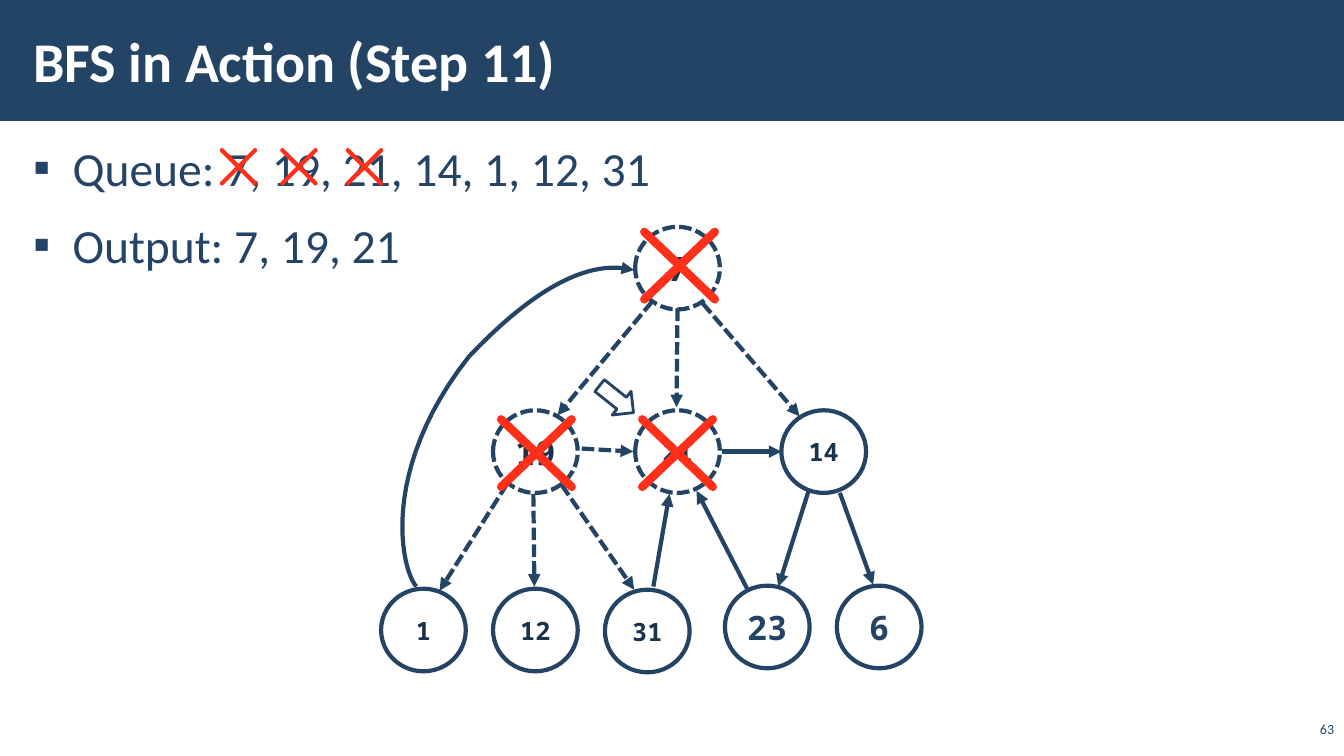
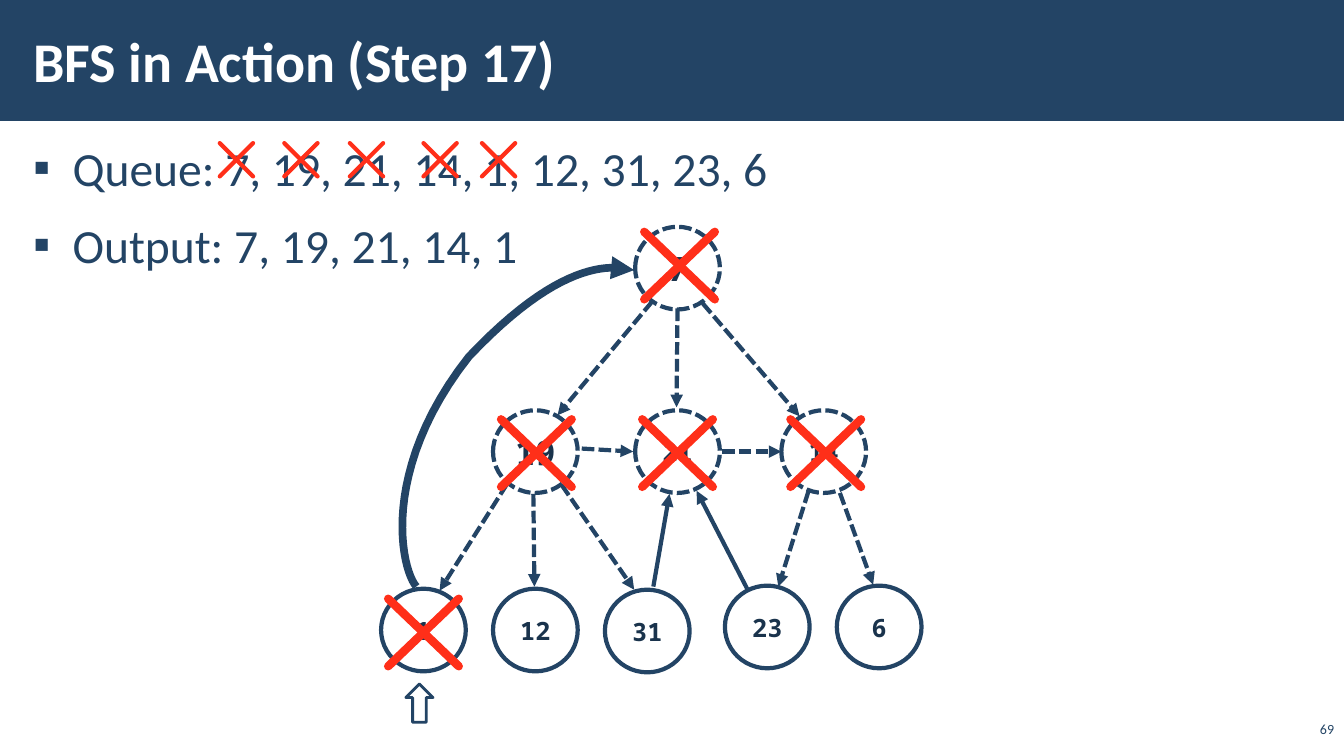
import dataclasses

import pptx
import pptx.dml.color
import pptx.enum.dml
import pptx.enum.shapes
import pptx.enum.text
import pptx.oxml
import pptx.oxml.ns
import pptx.util

PX = 9144  # one px is a hundredth of an inch
SHAPES = pptx.enum.shapes.MSO_SHAPE
ALIGN = pptx.enum.text.PP_ALIGN
ANCHOR = pptx.enum.text.MSO_ANCHOR
SYSTEM_DASH = pptx.enum.dml.MSO_LINE.SQUARE_DOT


@dataclasses.dataclass(frozen=True)
class Theme:
    navy: str = "234465"
    label: str = "1A334C"
    plain_label: str = "244465"
    red: str = "FF2F19"
    white: str = "FFFFFF"
    text_font: str = "Calibri"
    node_font: str = "Noto Sans Mono"
    title_size: int = 40
    body_size: int = 34
    large_label: int = 24
    small_label: int = 18
    number_size: int = 10


THEME = Theme()


@dataclasses.dataclass(frozen=True)
class Step:
    number: int
    page: int
    queue: list
    output: list
    queue_crosses: list
    queue_cross_top: int
    dashed_nodes: set
    explored: set  # nodes whose outgoing edges are dashed
    large: set
    plain: set
    back_edge_width: float
    pointer_box: tuple
    pointer_angle: float


STEPS = [
    Step(11, 63, [7, 19, 21, 14, 1, 12, 31], [7, 19, 21],
         [220, 280, 345], 149, {7, 19, 21}, {7, 19}, {7, 19, 23, 6}, {23, 6},
         3, (590, 381, 43, 30), 38.5),
    Step(17, 69, [7, 19, 21, 14, 1, 12, 31, 23, 6], [7, 19, 21, 14, 1],
         [218, 282, 347, 420, 478], 142, {7, 19, 21, 14}, {7, 19, 21, 14}, {7, 19}, set(),
         5.5, (397, 684, 38, 27), 270),
]

# Graph geometry, relative to the graph box
GRAPH_BOX = (378, 225, 536, 442)
NODE_SIZE = (84, 82)
NODES = {
    7: (252, 0),
    19: (111, 182), 21: (252, 182), 14: (397, 182),
    1: (0, 359), 12: (111, 359), 31: (222, 360), 23: (341, 356), 6: (452, 356),
}
EDGES = {
    (7, 19): (269, 74, 175, 187),
    (7, 21): (294, 81, 293, 179),
    (7, 14): (319, 76, 415, 188),
    (19, 21): (199, 220, 250, 223),
    (21, 14): (338, 223, 397, 223),
    (19, 1): (125, 255, 58, 361),
    (19, 12): (151, 265, 152, 357),
    (19, 31): (179, 256, 251, 360),
    (31, 21): (270, 357, 286, 265),
    (23, 21): (363, 359, 313, 262),
    (14, 23): (424, 262, 394, 357),
    (14, 6): (455, 264, 488, 355),
}
BACK_EDGE = [
    ((35, 357), (20, 340), (-2, 242), (87, 129)),
    ((87, 129), (176, 35), (226, 37), (251, 43)),
]
CROSS_SIZE = (70, 67)
CROSS_OFFSETS = {7: (9, 5), 19: (8, 9), 21: (7, 9), 14: (9, 9), 1: (7, 10)}
QUEUE_CROSS_SIZE = 33


# Formatting helpers
def color(value):
    return pptx.dml.color.RGBColor.from_string(value)


def apply_format(target, values):
    for name, value in values.items():
        setattr(target, name, value)


def place(shape, box):
    apply_format(shape, dict(zip(("left", "top", "width", "height"), (v * PX for v in box))))


def add_xml(parent, tag, **attributes):
    element = pptx.oxml.parse_xml(f"<a:{tag} {pptx.oxml.ns.nsdecls('a')}/>")
    for name, value in attributes.items():
        element.set(name, str(value))
    parent.append(element)


def format_font(font, size, value, name=THEME.text_font, bold=False):
    apply_format(font, {"size": pptx.util.Pt(size), "name": name, "bold": bold})
    font.color.rgb = color(value)


def format_line(line, width, value=THEME.navy, dashed=False, arrow=False):
    line.color.rgb = color(value)
    line.width = pptx.util.Pt(width)
    if dashed:
        line.dash_style = SYSTEM_DASH
    if arrow:
        add_xml(line._get_or_add_ln(), "tailEnd", type="triangle")


def format_fill(shape, opacity):
    shape.shadow.inherit = False
    shape.fill.solid()
    shape.fill.fore_color.rgb = color(THEME.white)
    fill_color = shape._element.spPr.find(".//" + pptx.oxml.ns.qn("a:srgbClr"))
    add_xml(fill_color, "alpha", val=opacity * 1000)


def format_frame(frame, anchor):
    apply_format(frame, {
        "word_wrap": True, "vertical_anchor": anchor,
        "auto_size": pptx.enum.text.MSO_AUTO_SIZE.NONE,
        "margin_left": 12 * PX, "margin_right": 12 * PX,
        "margin_top": 4 * PX, "margin_bottom": 4 * PX,
    })


# Drawing parts
def add_line(shapes, ends, width, value=THEME.navy, dashed=False, arrow=False):
    connector = shapes.add_connector(
        pptx.enum.shapes.MSO_CONNECTOR.STRAIGHT, *(v * PX for v in ends))
    format_line(connector.line, width, value, dashed, arrow)
    add_xml(connector._element.spPr, "effectLst")
    return connector


def add_cross(shapes, box, width):
    left, top, box_width, box_height = box
    right, bottom = left + box_width, top + box_height
    for ends in ((left, top, right, bottom), (right, top, left, bottom)):
        connector = add_line(shapes, ends, width, THEME.red)
        connector.line._get_or_add_ln().set("cap", "rnd")


def curve_points(curves, steps=24):
    for start, first, second, end in curves:
        for index in range(steps + 1):
            t = index / steps
            u = 1 - t
            yield tuple(u**3 * a + 3 * u * u * t * b + 3 * u * t * t * c + t**3 * d
                        for a, b, c, d in zip(start, first, second, end))


def add_back_edge(shapes, left, top, width):
    points = [(round((left + x) * PX), round((top + y) * PX))
              for x, y in curve_points(BACK_EDGE)]
    builder = shapes.build_freeform(*points[0])
    builder.add_line_segments(points[1:], close=False)
    curve = builder.convert_to_shape()
    curve.shadow.inherit = False
    curve.fill.background()
    format_line(curve.line, width, arrow=True)


def add_node(shapes, number, box, step):
    plain = number in step.plain
    node = shapes.add_shape(SHAPES.OVAL, *(v * PX for v in box))
    format_fill(node, 50 if plain else 70)
    format_line(node.line, 3, dashed=number in step.dashed_nodes)
    apply_format(node.text_frame, {"word_wrap": False, "vertical_anchor": ANCHOR.MIDDLE})
    paragraph = node.text_frame.paragraphs[0]
    paragraph.alignment = ALIGN.CENTER
    run = paragraph.add_run()
    run.text = str(number)
    size = THEME.large_label if number in step.large else THEME.small_label
    format_font(run.font, size, THEME.plain_label if plain else THEME.label,
                THEME.node_font, True)


# Regions of the slide
def add_band(slide, layout, box):
    band = slide.shapes.add_shape(SHAPES.RECTANGLE, *(v * PX for v in box))
    band.shadow.inherit = False
    band.fill.solid()
    band.fill.fore_color.rgb = color(THEME.navy)
    band.line.fill.background()
    band._element.nvSpPr.cNvPr.set("id", "20")
    layout.shapes._spTree.insert(2, band._element)


def fill_title(title, box, text):
    place(title, box)
    format_frame(title.text_frame, ANCHOR.MIDDLE)
    paragraph = title.text_frame.paragraphs[0]
    paragraph.alignment = ALIGN.LEFT
    run = paragraph.add_run()
    run.text = text
    format_font(run.font, THEME.title_size, THEME.white, bold=True)


def fill_body(body, box, lines):
    place(body, box)
    frame = body.text_frame
    frame.text = "\n".join(lines)
    format_frame(frame, ANCHOR.TOP)
    for paragraph in frame.paragraphs:
        apply_format(paragraph, {
            "line_spacing": 1.05, "alignment": ALIGN.LEFT,
            "space_before": pptx.util.Pt(6), "space_after": pptx.util.Pt(6),
        })
        properties = paragraph._p.get_or_add_pPr()
        properties.set("marL", str(39 * PX))
        properties.set("indent", str(-39 * PX))
        add_xml(properties, "buFont", typeface=THEME.text_font)
        add_xml(properties, "buChar", char="▪")
        format_font(paragraph.runs[0].font, THEME.body_size, THEME.navy)


def add_page_number(slide, box, number):
    text_box = slide.shapes.add_textbox(*(v * PX for v in box))
    apply_format(text_box.text_frame, {"word_wrap": True, "vertical_anchor": ANCHOR.BOTTOM})
    paragraph = text_box.text_frame.paragraphs[0]
    paragraph.alignment = ALIGN.RIGHT
    run = paragraph.add_run()
    run.text = str(number)
    format_font(run.font, THEME.number_size, THEME.navy)


def add_graph(slide, box, step):
    left, top = box[:2]
    shapes = slide.shapes.add_group_shape().shapes
    for number, (x, y) in NODES.items():
        add_node(shapes, number, (left + x, top + y, *NODE_SIZE), step)
    for (source, _), (x1, y1, x2, y2) in EDGES.items():
        add_line(shapes, (left + x1, top + y1, left + x2, top + y2), 3,
                 dashed=source in step.explored, arrow=True)
    add_back_edge(shapes, left, top, step.back_edge_width)
    for number in step.output:
        x, y = (a + b for a, b in zip(NODES[number], CROSS_OFFSETS[number]))
        add_cross(shapes, (left + x, top + y, *CROSS_SIZE), 6)


def add_pointer(slide, box, angle):
    pointer = slide.shapes.add_shape(SHAPES.RIGHT_ARROW, *(v * PX for v in box))
    pointer.rotation = angle
    format_fill(pointer, 50)
    format_line(pointer.line, 2)


def build_step(slide, step):
    title, body = slide.placeholders
    fill_title(title, (21, 11, 1063, 97), f"BFS in Action (Step {step.number})")
    fill_body(body, (21, 131, 1292, 605), [
        "Queue: " + ", ".join(map(str, step.queue)),
        "Output: " + ", ".join(map(str, step.output)),
    ])
    add_page_number(slide, (1286, 714, 47, 22), step.page)
    for left in step.queue_crosses:
        add_cross(slide.shapes, (left, step.queue_cross_top,
                                 QUEUE_CROSS_SIZE, QUEUE_CROSS_SIZE), 3)
    add_graph(slide, GRAPH_BOX, step)
    add_pointer(slide, step.pointer_box, step.pointer_angle)


def main():
    presentation = pptx.Presentation()
    apply_format(presentation, {"slide_width": 1333 * PX, "slide_height": 750 * PX})
    layout = presentation.slide_layouts[1]
    slides = [presentation.slides.add_slide(layout) for _ in STEPS]
    add_band(slides[0], layout, (0, 0, 1333, 120))
    for slide, step in zip(slides, STEPS):
        build_step(slide, step)
    presentation.save("out.pptx")


if __name__ == "__main__":
    main()
